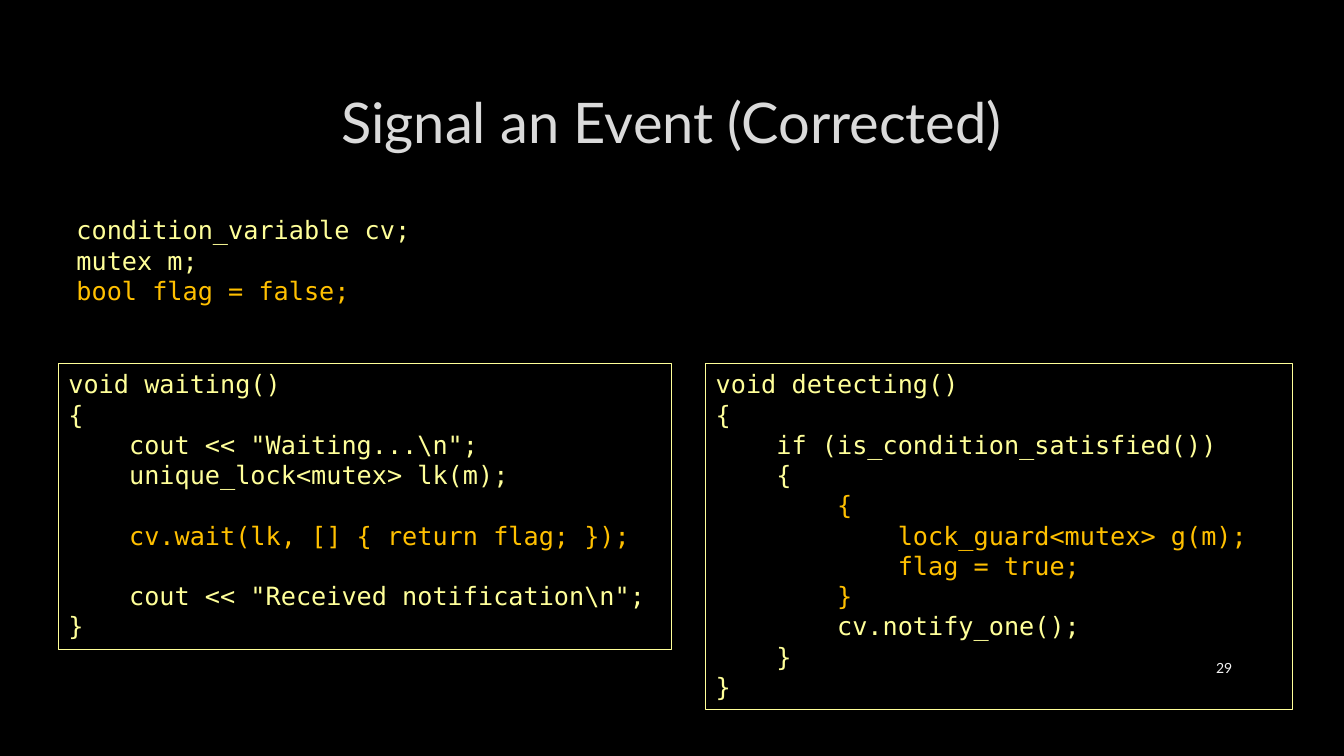
import pptx
import pptx.util
import pptx.dml.color
import pptx.enum.shapes
import pptx.enum.text
from dataclasses import dataclass


@dataclass(frozen=True)
class Theme:
    background: str = "000000"
    title: str = "DADADA"
    code: str = "FFFF99"
    accent: str = "FFC000"
    number: str = "F2F2F2"
    body_font: str = "Lato"
    code_font: str = "DejaVu Sans Mono"
    title_size: int = 40
    code_size: int = 18
    number_size: int = 10


theme = Theme()
ALIGN = pptx.enum.text.PP_ALIGN
ANCHOR = pptx.enum.text.MSO_ANCHOR
inches = pptx.util.Inches
INDENT = pptx.util.Pt(4 * 0.602 * theme.code_size)  # four monospaced characters
CODE_LINE = pptx.util.Pt(1.2 * theme.code_size)


def add_span(para, text, font, size, colour):
    span = para.add_run()
    span.text = text
    span.font.name = font
    span.font.size = pptx.util.Pt(size)
    span.font.color.rgb = pptx.dml.color.RGBColor.from_string(colour)


def write_code(box, lines):
    """Write (level, text, colour, blank lines above) tuples as indented code."""
    frame = box.text_frame
    frame.word_wrap = True
    frame.vertical_anchor = ANCHOR.TOP
    for index, (level, text, colour, blanks) in enumerate(lines):
        para = frame.paragraphs[0] if index == 0 else frame.add_paragraph()
        para.alignment = ALIGN.LEFT
        para.space_before = blanks * CODE_LINE
        para._p.get_or_add_pPr().set("marL", str(level * INDENT))
        add_span(para, text, theme.code_font, theme.code_size, colour)


deck = pptx.Presentation()
deck.slide_width, deck.slide_height = inches(13.33), inches(7.5)
page = deck.slides.add_slide(deck.slide_layouts[5])
page.background.fill.solid()
page.background.fill.fore_color.rgb = pptx.dml.color.RGBColor.from_string(theme.background)

# Title
title = page.shapes.title
title.left, title.top, title.width, title.height = map(inches, (1, 0.67, 11.32, 1.06))
title.text_frame.vertical_anchor = ANCHOR.MIDDLE
title_para = title.text_frame.paragraphs[0]
title_para.alignment = ALIGN.CENTER
add_span(title_para, "Signal an Event (Corrected)", theme.body_font, theme.title_size, theme.title)

# Shared declarations
declarations = page.shapes.add_textbox(*map(inches, (0.66, 2.08, 6.33, 1.01)))
write_code(declarations, [
    (0, "condition_variable cv;", theme.code, 0),
    (0, "mutex m;", theme.code, 0),
    (0, "bool flag = false;", theme.accent, 0),
])

# Slide number
number = page.shapes.add_textbox(*map(inches, (11.5, 6.43, 0.82, 0.4)))
number.text_frame.word_wrap = True
number.text_frame.vertical_anchor = ANCHOR.MIDDLE
number_para = number.text_frame.paragraphs[0]
number_para.alignment = ALIGN.RIGHT
add_span(number_para, "29", theme.body_font, theme.number_size, theme.number)

# The two functions, framed side by side
detecting = [
    (0, "void detecting()", theme.code, 0),
    (0, "{", theme.code, 0),
    (1, "if (is_condition_satisfied())", theme.code, 0),
    (1, "{", theme.code, 0),
    (2, "{", theme.accent, 0),
    (3, "lock_guard<mutex> g(m);", theme.accent, 0),
    (3, "flag = true;", theme.accent, 0),
    (2, "}", theme.accent, 0),
    (2, "cv.notify_one();", theme.code, 0),
    (1, "}", theme.code, 0),
    (0, "}", theme.code, 0),
]
waiting = [
    (0, "void waiting()", theme.code, 0),
    (0, "{", theme.code, 0),
    (1, 'cout << "Waiting...\\n";', theme.code, 0),
    (1, "unique_lock<mutex> lk(m);", theme.code, 0),
    (1, "cv.wait(lk, [] { return flag; });", theme.accent, 1),
    (1, 'cout << "Received notification\\n";', theme.code, 1),
    (0, "}", theme.code, 0),
]
FRAME_TOP = 3.61
for left, width, height, lines in ((7, 5.82, 3.43, detecting), (0.58, 6.08, 2.83, waiting)):
    frame_box = page.shapes.add_shape(
        pptx.enum.shapes.MSO_SHAPE.RECTANGLE, *map(inches, (left, FRAME_TOP, width, height)))
    frame_box.shadow.inherit = False
    frame_box.fill.background()
    frame_box.line.color.rgb = pptx.dml.color.RGBColor.from_string(theme.code)
    frame_box.line.width = pptx.util.Pt(0.75)
    write_code(frame_box, lines)

deck.save("out.pptx")
